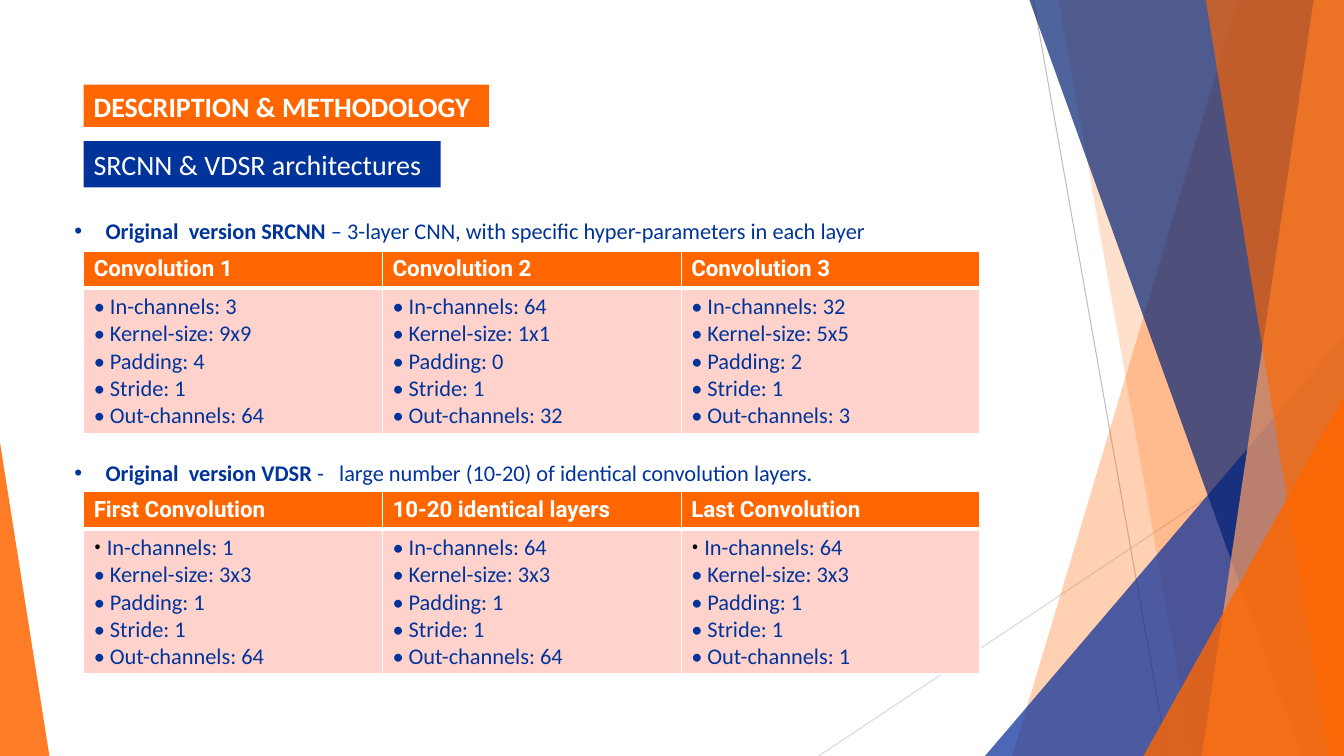
from lxml import etree
from pptx import Presentation, dml, util as u
from pptx.dml import color
from pptx.enum import shapes, text
from pptx.oxml import ns

ORANGE, PEACH, PINK = "FF6600", "FFA366", "FFD3CC"
BLUE, DEEP_BLUE, NAVY, WHITE, BLACK = "00349A", "062D9B", "052274", "FFFFFF", "000000"
WIDTH, HEIGHT = 13.33, 7.5


def rgb(value):
    return color.RGBColor.from_string(value)


def add_xml(parent, tag, **attributes):
    return etree.SubElement(parent, ns.qn(tag), **attributes)


class Deck:
    """Holds the style and the current slide."""

    body_font, head_font = "Calibri", "Roboto"
    body_size, title_size = 16, 20

    def __init__(self):
        self.show = Presentation()
        self.show.slide_width, self.show.slide_height = u.Inches(WIDTH), u.Inches(HEIGHT)
        self.slide = self.show.slides.add_slide(self.show.slide_layouts[6])

    def paint(self, shape, fill, opacity=100):
        shape.shadow.inherit = False
        shape.line.fill.background()
        shape.fill.solid()
        shape.fill.fore_color.rgb = rgb(fill)
        if opacity < 100:
            tint = shape.fill._xPr.find(ns.qn("a:solidFill"))[0]
            add_xml(tint, "a:alpha", val=str(opacity * 1000))

    def style(self, run, size, tone, bold=False, font=None):
        run.font.name = font or self.body_font
        run.font.size = u.Pt(size)
        run.font.bold = bold
        run.font.color.rgb = rgb(tone)

    def hairline(self, start, end, tone):
        line = self.slide.shapes.add_connector(
            shapes.MSO_CONNECTOR.STRAIGHT, *map(u.Inches, start + end))
        line.line.color.rgb = rgb(tone)
        line.line.width = u.Pt(0.75)
        add_xml(line._element.spPr, "a:effectLst")

    def facet(self, points, fill, opacity):
        first, *rest = [(u.Inches(x), u.Inches(y)) for x, y in points]
        builder = self.slide.shapes.build_freeform(*first)
        builder.add_line_segments(rest, close=True)
        self.paint(builder.convert_to_shape(), fill, opacity)

    def triangle(self, box, apex, fill, opacity):
        wedge = self.slide.shapes.add_shape(
            shapes.MSO_SHAPE.ISOSCELES_TRIANGLE, *map(u.Inches, box))
        wedge.adjustments[0] = apex
        self.paint(wedge, fill, opacity)

    def banner(self, box, words, fill, bold=False):
        bar = self.slide.shapes.add_shape(shapes.MSO_SHAPE.RECTANGLE, *map(u.Inches, box))
        self.paint(bar, fill)
        frame = bar.text_frame
        frame.text = words
        frame.vertical_anchor = text.MSO_ANCHOR.MIDDLE
        frame.paragraphs[0].alignment = text.PP_ALIGN.LEFT
        self.style(frame.paragraphs[0].runs[0], self.title_size, WHITE, bold)

    def bullets(self, box, items, gap):
        frame = self.slide.shapes.add_textbox(*map(u.Inches, box)).text_frame
        frame.word_wrap = True
        for index, (lead, detail) in enumerate(items):
            item = frame.add_paragraph() if index else frame.paragraphs[0]
            item.space_before = u.Pt(gap if index else 0)
            for words, bold in ((lead, True), (detail, False)):
                run = item.add_run()
                run.text = words
                self.style(run, self.body_size, BLUE, bold)
            layout = item._p.get_or_add_pPr()
            layout.set("marL", str(u.Inches(0.31)))
            layout.set("indent", str(-u.Inches(0.31)))
            dot_color = add_xml(layout, "a:buClr")
            add_xml(dot_color, "a:srgbClr", val=BLUE)
            add_xml(layout, "a:buFont", typeface="Arial")
            add_xml(layout, "a:buChar", char="•")

    def cell_borders(self, cell, top, bottom):
        sides = (("L", 1), ("R", 1), ("T", top), ("B", bottom))
        props = cell._tc.get_or_add_tcPr()
        for place, (side, points) in enumerate(sides):
            border = etree.Element(ns.qn(f"a:ln{side}"), w=str(u.Pt(points)))
            add_xml(add_xml(border, "a:solidFill"), "a:srgbClr", val=WHITE)
            props.insert(place, border)

    def layer_table(self, box, layers, row_heights):
        """Each layer: heading, values by parameter, whether its first dot is black."""
        table = self.slide.shapes.add_table(2, len(layers), *map(u.Inches, box)).table
        for row, height in zip(table.rows, row_heights):
            row.height = u.Inches(height)
        for column, (heading, values, black_dot) in enumerate(layers):
            head, body = table.cell(0, column), table.cell(1, column)
            head.text = heading
            self.style(head.text_frame.paragraphs[0].runs[0],
                       self.body_size, WHITE, True, self.head_font)
            body.text = "\n".join(f"• {name}: {value}" for name, value in zip(PARAMETERS, values))
            for line in body.text_frame.paragraphs:
                self.style(line.runs[0], self.body_size, BLUE)
            if black_dot:
                self.blacken_dot(body.text_frame.paragraphs[0])
            for cell, fill, top, bottom in ((head, ORANGE, 1, 3), (body, PINK, 3, 1)):
                cell.fill.solid()
                cell.fill.fore_color.rgb = rgb(fill)
                self.cell_borders(cell, top, bottom)

    def blacken_dot(self, line):
        dot, words = line.runs[0], line.add_run()
        words.text = dot.text[2:]
        dot.text = "• "
        self.style(dot, self.body_size, BLACK, font=self.head_font)
        self.style(words, self.body_size, BLUE)


PARAMETERS = ("In-channels", "Kernel-size", "Padding", "Stride", "Out-channels")
SRCNN = [
    ("Convolution 1", (3, "9x9", 4, 1, 64), False),
    ("Convolution 2", (64, "1x1", 0, 1, 32), False),
    ("Convolution 3", (32, "5x5", 2, 1, 3), False),
]
VDSR = [
    ("First Convolution", (1, "3x3", 1, 1, 64), True),
    ("10-20 identical layers", (64, "3x3", 1, 1, 64), False),
    ("Last Convolution", (64, "3x3", 1, 1, 1), True),
]


def right_band(top, bottom):
    """Outline from a slanted left edge to the slide's right edge."""
    return [(top, 0), (WIDTH, 0), (WIDTH, HEIGHT), (bottom, HEIGHT)]


def main():
    deck = Deck()

    # Faceted backdrop
    deck.hairline((10.25, 0), (11.58, HEIGHT), "BFBFBF")
    deck.hairline((WIDTH, 4.03), (8.12, HEIGHT), "D9D9D9")
    deck.facet(right_band(12.28, 10.04), ORANGE, 30)
    deck.facet(right_band(10.5, 11.83), ORANGE, 20)
    deck.triangle((9.77, 3.33, 3.56, 4.17), 1, DEEP_BLUE, 72)
    deck.facet(right_band(10.21, 12.91), NAVY, 70)
    deck.facet(right_band(13.03, 11.92), PEACH, 70)
    deck.facet(right_band(11.96, 13.18), ORANGE, 65)
    deck.triangle((11.34, 3.93, 1.99, 3.57), 1, ORANGE, 80)
    deck.triangle((0, 4.39, 0.49, 3.11), 0, ORANGE, 85)

    # Headings
    deck.banner((0.83, 0.84, 4.02, 0.42), "DESCRIPTION & METHODOLOGY", ORANGE, bold=True)
    deck.banner((0.83, 1.4, 3.54, 0.46), "SRCNN & VDSR architectures", BLUE)

    # Introductions, spaced to leave room for the first table
    deck.bullets((0.64, 2.11, 10.06, 3.33), [
        ("Original  version SRCNN ", "– 3-layer CNN, with specific hyper-parameters in each layer"),
        ("Original  version VDSR ", "-   large number (10-20) of identical convolution layers."),
    ], gap=153.3)

    # Layer tables
    for top, layers in ((2.49, SRCNN), (4.88, VDSR)):
        deck.layer_table((0.83, top, 8.89, 1.8), layers, (0.36, 1.44))

    deck.show.save("out.pptx")


if __name__ == "__main__":
    main()
